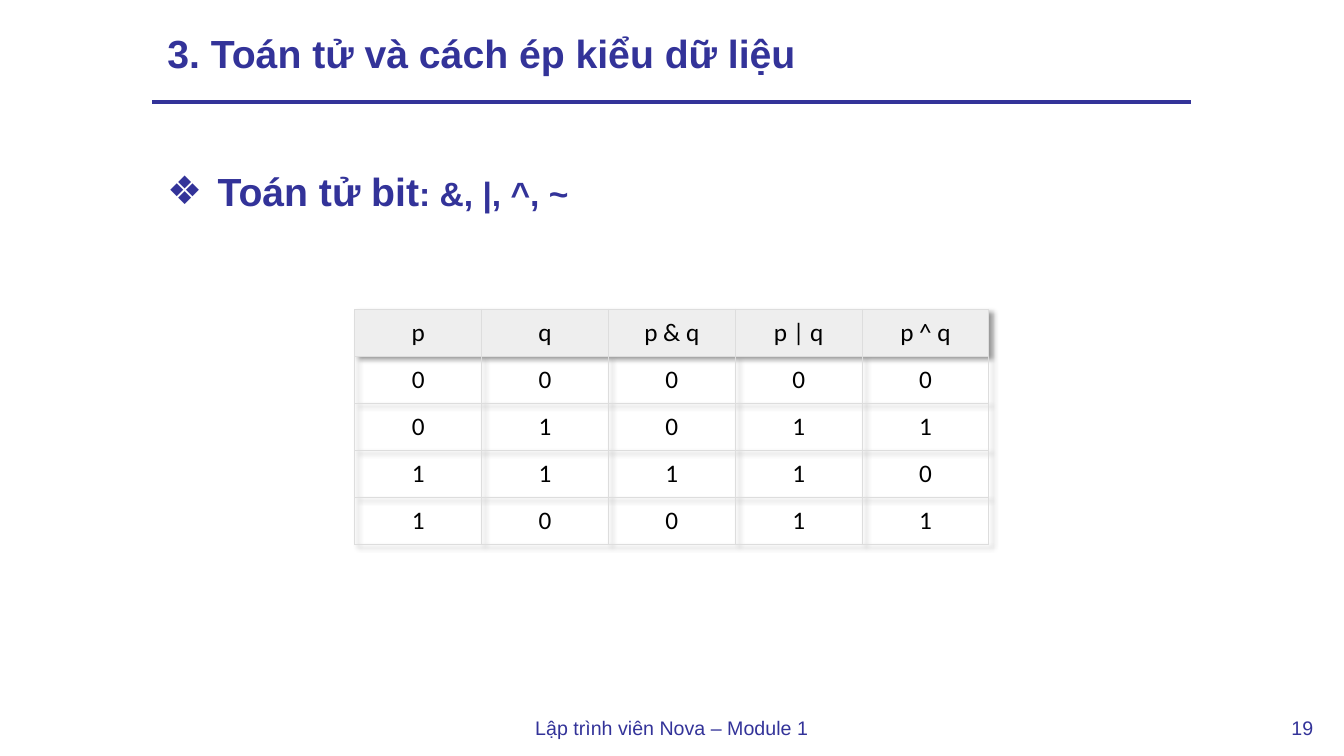
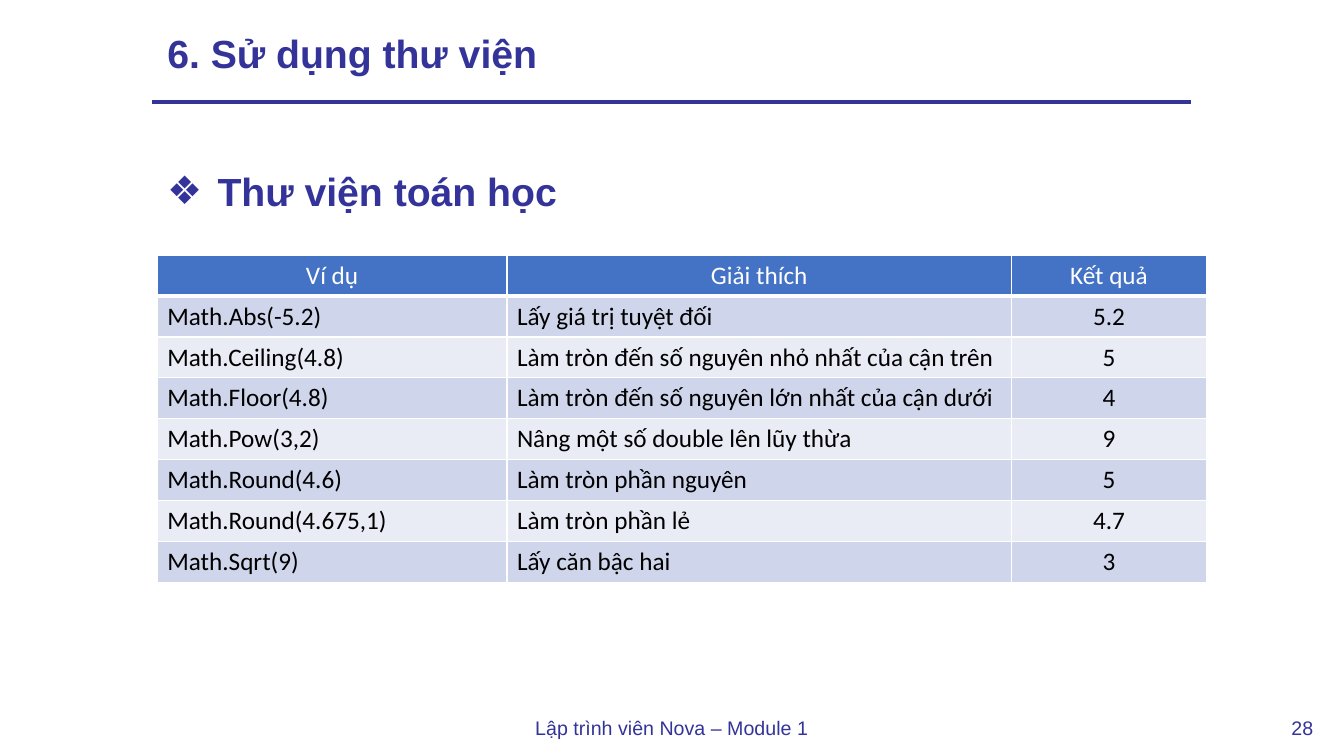
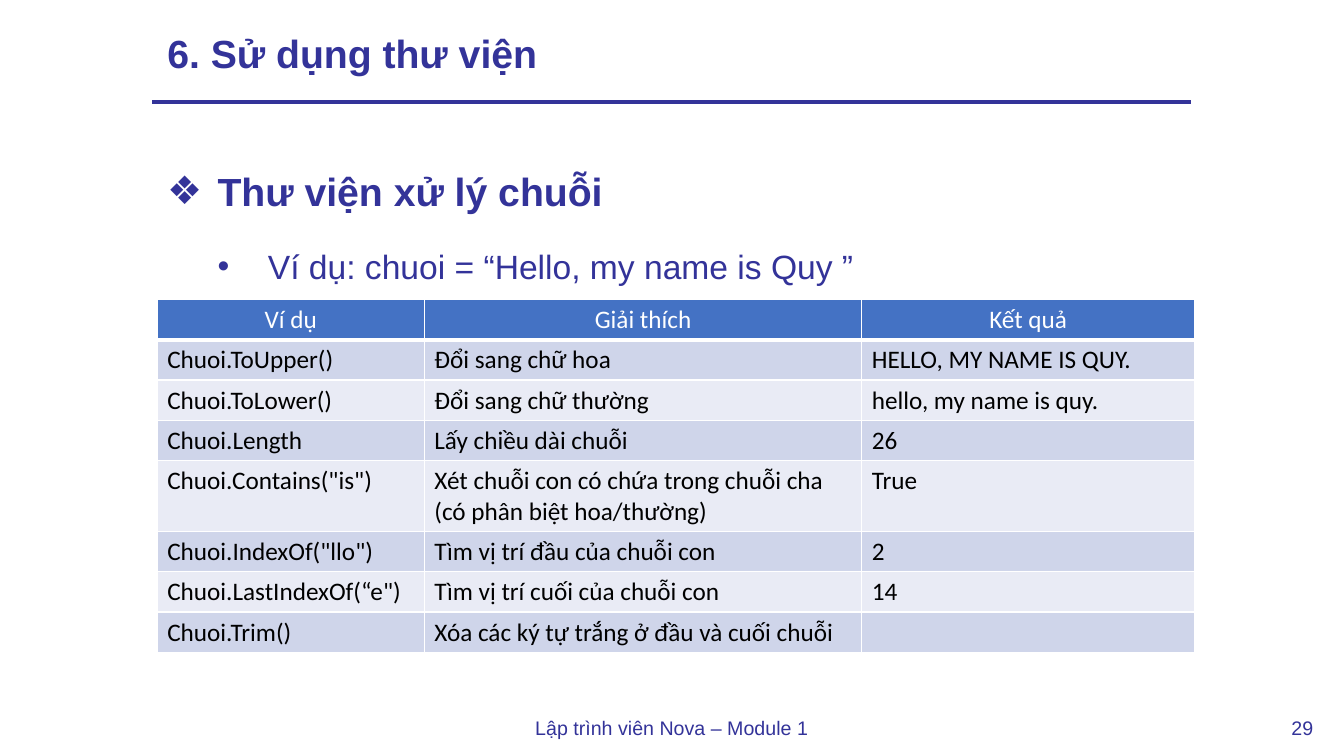
from dataclasses import dataclass

from lxml import etree
from pptx import Presentation
from pptx.dml.color import RGBColor
from pptx.enum.shapes import MSO_CONNECTOR
from pptx.enum.text import MSO_ANCHOR, MSO_AUTO_SIZE, PP_ALIGN
from pptx.oxml.ns import qn
from pptx.util import Pt

STRAIGHT = MSO_CONNECTOR.STRAIGHT
MIDDLE = MSO_ANCHOR.MIDDLE
GROW = MSO_AUTO_SIZE.SHAPE_TO_FIT_TEXT
NO_FIT = MSO_AUTO_SIZE.NONE
LEFT, CENTER, JUSTIFY = PP_ALIGN.LEFT, PP_ALIGN.CENTER, PP_ALIGN.JUSTIFY


@dataclass(frozen=True)
class Theme:
    heading_font: str = "Arial"
    table_font: str = "Calibri"
    navy: str = "333399"
    black: str = "000000"
    white: str = "FFFFFF"
    header_blue: str = "4472C4"
    band_dark: str = "CFD5EA"
    band_light: str = "E9EBF5"
    header_gray: str = "EEEEEE"
    border_gray: str = "DDDDDD"
    title_size: float = 28
    detail_size: float = 24
    table_size: float = 18
    footer_size: float = 14


@dataclass(frozen=True)
class TableLook:
    header_fill: str
    header_text: str
    bands: tuple
    border: str
    border_width: float
    header_rule: float
    margins: tuple
    shadow: bool


THEME = Theme()
TRUTH_LOOK = TableLook(THEME.header_gray, THEME.black, (None,), THEME.border_gray,
                       0.75, 0.75, (5.76, 5.76), True)
LIBRARY_LOOK = TableLook(THEME.header_blue, THEME.white, (THEME.band_dark, THEME.band_light),
                         THEME.white, 1, 3, (7.2, 3.6), False)

TITLE_BOX = (112.3, 19.4, 749.5, 40.3)
TOPIC_BOX = (112.3, 99.4, 740.9, 51.8)
FOOTER_BOX = (375.1, 499.7, 209.5, 29.5)
NUMBER_BOX = (914.4, 499.7, 31.7, 29.5)
RULE_ENDS = (108.7, 72.7, 851, 72.7)
LIBRARY_HEADER = ("Ví dụ", "Giải thích", "Kết quả")


def points(values):
    return [Pt(value) for value in values]


def add_span(para, text, size, color, font=THEME.heading_font, bold=False):
    span = para.add_run()
    span.text = text
    span.font.name = font
    span.font.size = Pt(size)
    span.font.bold = bold
    span.font.color.rgb = RGBColor.from_string(color)


def add_label(page, box, text):
    label = page.shapes.add_textbox(*points(box))
    frame = label.text_frame
    frame.word_wrap = False
    frame.auto_size = GROW
    para = frame.paragraphs[0]
    para.alignment = CENTER
    para.line_spacing = 1.5
    add_span(para, text, THEME.footer_size, THEME.navy)
    return label


def add_title_rule(page, ends):
    rule = page.shapes.add_connector(STRAIGHT, *points(ends))
    rule.line.color.rgb = RGBColor.from_string(THEME.navy)
    rule.line.width = Pt(3)
    etree.SubElement(rule.element.spPr, qn("a:effectLst"))
    return rule


def share_on_layout(page, layout):
    for shape in (add_title_rule(page, RULE_ENDS),
                  add_label(page, FOOTER_BOX, "Lập trình viên Nova – Module 1")):
        layout.shapes.element.append(shape.element)


def set_title(page, box, text):
    title = page.shapes.title
    title.left, title.top, title.width, title.height = points(box)
    frame = title.text_frame
    frame.word_wrap = True
    frame.auto_size = NO_FIT
    frame.vertical_anchor = MIDDLE
    para = frame.paragraphs[0]
    para.alignment = LEFT
    para.line_spacing = 0.9
    add_span(para, text, THEME.title_size, THEME.navy, bold=True)


def set_bullet(para, mark, level):
    para.level = level
    properties = para._p.get_or_add_pPr()
    properties.set("marL", str(Pt(36 * (level + 1))))
    properties.set("indent", str(Pt(-36)))
    etree.SubElement(properties, qn("a:buFont")).set("typeface", THEME.heading_font)
    etree.SubElement(properties, qn("a:buChar")).set("char", mark)


def add_topic(page, box, topic, suffix=None, example=None):
    left, top, width, height = box
    if example:
        height *= 2
    frame = page.shapes.add_textbox(*points((left, top, width, height))).text_frame
    frame.word_wrap = True
    frame.auto_size = GROW
    lines = [("❖", [(topic, THEME.title_size, True)])]
    if suffix:
        lines[0][1].append((suffix, THEME.detail_size, True))
    if example:
        lines.append(("•", [(example, THEME.detail_size, False)]))
    for level, (mark, spans) in enumerate(lines):
        para = frame.add_paragraph() if level else frame.paragraphs[0]
        para.alignment = JUSTIFY
        para.line_spacing = 1.5
        para.space_after = Pt(8)
        set_bullet(para, mark, level)
        for text, size, bold in spans:
            add_span(para, text, size, THEME.navy, bold=bold)


def set_borders(cell, look, is_header):
    properties = cell._tc.get_or_add_tcPr()
    for side in "LRTB":
        width = look.header_rule if is_header and side == "B" else look.border_width
        line = etree.SubElement(properties, qn(f"a:ln{side}"), w=str(Pt(width)))
        fill = etree.SubElement(line, qn("a:solidFill"))
        etree.SubElement(fill, qn("a:srgbClr"), val=look.border)


def add_table_shadow(table):
    effects = etree.Element(qn("a:effectLst"))
    shadow = etree.SubElement(effects, qn("a:outerShdw"), blurRad=str(Pt(4)), dist=str(Pt(3)),
                              dir="2700000", algn="tl", rotWithShape="0")
    color = etree.SubElement(shadow, qn("a:prstClr"), val="black")
    etree.SubElement(color, qn("a:alpha"), val="40000")
    table._tbl.tblPr.insert(0, effects)


def fill_cell(cell, text, look, row, alignment):
    is_header = row == 0
    side, edge = look.margins
    cell.margin_left = cell.margin_right = Pt(side)
    cell.margin_top = cell.margin_bottom = Pt(edge)
    set_borders(cell, look, is_header)
    color = look.header_fill if is_header else look.bands[(row - 1) % len(look.bands)]
    if color:
        cell.fill.solid()
        cell.fill.fore_color.rgb = RGBColor.from_string(color)
    else:
        cell.fill.background()
    para = cell.text_frame.paragraphs[0]
    para.alignment = CENTER if is_header else alignment
    if text:
        add_span(para, text, THEME.table_size, look.header_text if is_header else THEME.black,
                 THEME.table_font)


def add_grid(page, corner, widths, heights, rows, look, alignments):
    box = (*corner, sum(widths), sum(heights))
    table = page.shapes.add_table(len(rows), len(widths), *points(box)).table
    table.first_row = table.horz_banding = False
    for column, width in zip(table.columns, widths):
        column.width = Pt(width)
    for line, height in zip(table.rows, heights):
        line.height = Pt(height)
    for row, texts in enumerate(rows):
        for column, text in enumerate(texts):
            fill_cell(table.cell(row, column), text, look, row, alignments[column])
    if look.shadow:
        add_table_shadow(table)


def add_page(deck, layout, number, title):
    page = deck.slides.add_slide(layout)
    set_title(page, TITLE_BOX, title)
    add_label(page, NUMBER_BOX, str(number))
    return page


def add_bit_page(deck, layout):
    page = add_page(deck, layout, 19, "3. Toán tử và cách ép kiểu dữ liệu")
    add_topic(page, TOPIC_BOX, "Toán tử bit", suffix=": &, |, ^, ~")
    rows = [("p", "q", "p & q", "p | q", "p ^ q"), "00000", "01011", "11110", "10011"]
    add_grid(page, (253.4, 221), [90.6] * 5, [33.6] * 5, rows, TRUTH_LOOK, [CENTER] * 5)
    return page


def add_math_page(deck, layout):
    page = add_page(deck, layout, 28, "6. Sử dụng thư viện")
    add_topic(page, TOPIC_BOX, "Thư viện toán học")
    rows = [
        LIBRARY_HEADER,
        ("Math.Abs(-5.2)", "Lấy giá trị tuyệt đối", "5.2"),
        ("Math.Ceiling(4.8)", "Làm tròn đến số nguyên nhỏ nhất của cận trên", "5"),
        ("Math.Floor(4.8)", "Làm tròn đến số nguyên lớn nhất của cận dưới", "4"),
        ("Math.Pow(3,2)", "Nâng một số double lên lũy thừa", "9"),
        ("Math.Round(4.6)", "Làm tròn phần nguyên", "5"),
        ("Math.Round(4.675,1)", "Làm tròn phần lẻ", "4.7"),
        ("Math.Sqrt(9)", "Lấy căn bậc hai", "3"),
    ]
    add_grid(page, (112.3, 182.3), [249.8, 360.5, 139.2], [29.2] * 8, rows, LIBRARY_LOOK,
             [LEFT, LEFT, CENTER])


def add_string_page(deck, layout):
    page = add_page(deck, layout, 29, "6. Sử dụng thư viện")
    add_topic(page, TOPIC_BOX, "Thư viện xử lý chuỗi",
              example="Ví dụ: chuoi = “Hello, my name is Quy ”")
    rows = [
        LIBRARY_HEADER,
        ("Chuoi.ToUpper()", "Đổi sang chữ hoa", "HELLO, MY NAME IS QUY."),
        ("Chuoi.ToLower()", "Đổi sang chữ thường", "hello, my name is quy."),
        ("Chuoi.Length", "Lấy chiều dài chuỗi", "26"),
        ('Chuoi.Contains("is")',
         "Xét chuỗi con có chứa trong chuỗi cha (có phân biệt hoa/thường)", "True"),
        ('Chuoi.IndexOf("llo")', "Tìm vị trí đầu của chuỗi con", "2"),
        ('Chuoi.LastIndexOf(“e")', "Tìm vị trí cuối của chuỗi con", "14"),
        ("Chuoi.Trim()", "Xóa các ký tự trắng ở đầu và cuối chuỗi", ""),
    ]
    heights = [28.8] * 4 + [50.4] + [28.8] * 3
    add_grid(page, (112.3, 213.8), [190.8, 312.5, 237.6], heights, rows, LIBRARY_LOOK,
             [LEFT] * 3)


def main():
    deck = Presentation()
    deck.slide_width, deck.slide_height = Pt(960), Pt(540)
    layout = deck.slide_layouts[5]
    share_on_layout(add_bit_page(deck, layout), layout)
    add_math_page(deck, layout)
    add_string_page(deck, layout)
    deck.save("out.pptx")


if __name__ == "__main__":
    main()
